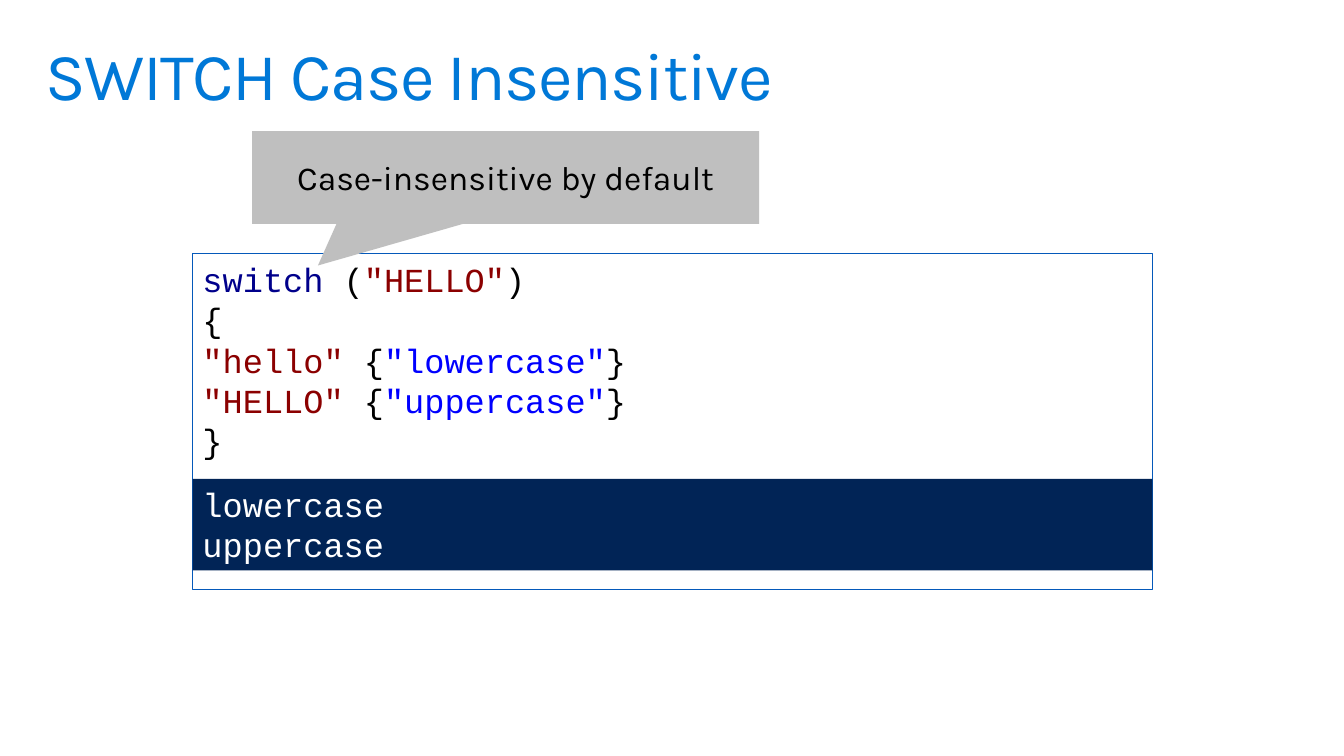
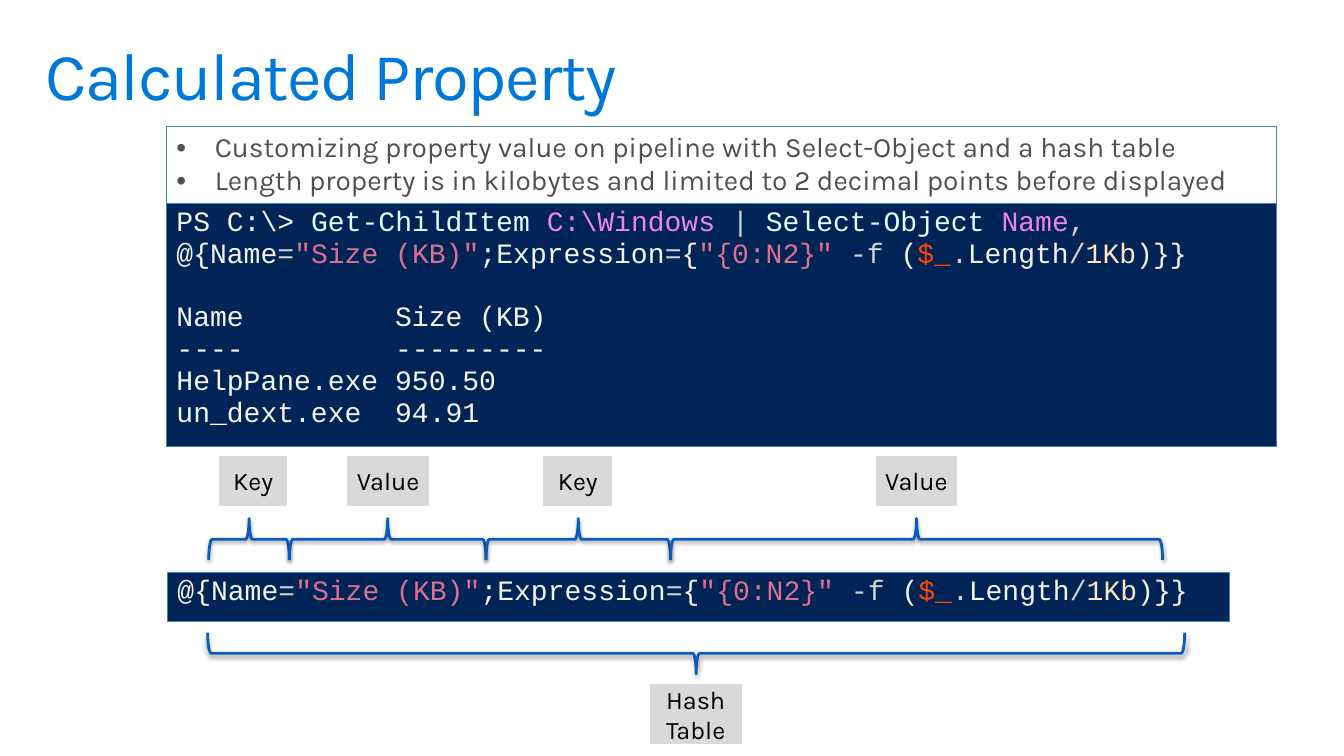
"""Build two slides on switch statements and calculated properties."""
import dataclasses

import lxml.etree
import pptx
import pptx.dml.color
import pptx.enum.shapes
import pptx.enum.text
import pptx.oxml.ns
import pptx.util

Inches = pptx.util.Inches
Pt = pptx.util.Pt
qn = pptx.oxml.ns.qn
SHAPE = pptx.enum.shapes.MSO_SHAPE
ALIGN = pptx.enum.text.PP_ALIGN
ANCHOR = pptx.enum.text.MSO_ANCHOR


@dataclasses.dataclass(frozen=True)
class Theme:
    """Fonts, type sizes and colours of the presentation."""
    body_font: str = "Karla"
    code_font: str = "Courier New"
    title_size: int = 48
    large_size: int = 24
    medium_size: int = 20
    label_size: int = 18
    title: str = "0078D7"
    black: str = "000000"
    white: str = "FFFFFF"
    body: str = "505050"
    console: str = "012456"
    frame: str = "0559BA"
    brace: str = "0A5BBA"
    border: str = "4B7EBC"
    callout: str = "BFBFBF"
    label: str = "D9D9D9"
    keyword: str = "00008B"
    literal: str = "8B0000"
    result: str = "0000FF"
    plain: str = "F5F5F5"
    operator: str = "D3D3D3"
    command: str = "E0FFFF"
    argument: str = "EE82EE"
    string: str = "DB7093"
    variable: str = "FF4500"
    number: str = "FFE4C4"


THEME = Theme()


def rgb(color):
    """Return the colour object for a hexadecimal string."""
    return pptx.dml.color.RGBColor.from_string(color)


def add_element(parent, tag, **attributes):
    """Append a drawing element to its parent."""
    return lxml.etree.SubElement(parent, qn(tag), **attributes)


def write(paragraph, text, *, font=THEME.body_font, size=THEME.label_size,
          color=THEME.black, align=None, line_spacing=None, space_before=None,
          tracking=None, bullet=False):
    """Write a string, or a list of (string, colour) pairs, into a paragraph."""
    if bullet:
        properties = paragraph._p.get_or_add_pPr()
        properties.set("marL", str(Inches(0.38)))
        properties.set("indent", str(-Inches(0.38)))
        add_element(properties, "a:buFont", typeface="Arial")
        add_element(properties, "a:buChar", char="•")
    paragraph.alignment = align
    paragraph.line_spacing = line_spacing
    paragraph.space_before = space_before
    for piece, piece_color in [(text, color)] if isinstance(text, str) else text:
        run = paragraph.add_run()
        run.text = piece
        run.font.name = font
        run.font.size = Pt(size)
        run.font.color.rgb = rgb(piece_color)
        if tracking is not None:
            run._r.get_or_add_rPr().set("spc", str(tracking))


def write_lines(frame, lines, **style):
    """Write one paragraph per line in the same style."""
    for index, line in enumerate(lines):
        write(frame.add_paragraph() if index else frame.paragraphs[0], line, **style)


class Deck:
    """Hold the theme, the presentation and the current slide."""

    def __init__(self, theme):
        """Start an empty widescreen presentation."""
        self.theme = theme
        self.presentation = pptx.Presentation()
        self.presentation.slide_width = Inches(13.33)
        self.presentation.slide_height = Inches(7.5)
        self.slide = None

    def add_slide(self, title):
        """Start a slide with its title."""
        self.slide = self.presentation.slides.add_slide(
            self.presentation.slide_layouts[6])
        frame = self.slide.shapes.add_textbox(
            Inches(0.29), Inches(0.32), Inches(12.75), Inches(0.98)).text_frame
        frame.word_wrap = True
        frame.margin_left = frame.margin_right = Inches(0.16)
        frame.margin_top = frame.margin_bottom = Inches(0.1)
        write(frame.paragraphs[0], title, size=self.theme.title_size,
              color=self.theme.title, line_spacing=0.9, tracking=-100)

    def add_shape(self, kind, left, top, width, height, fill=None, line=None,
                  line_width=2, anchor=ANCHOR.MIDDLE):
        """Add a preset shape without the default look."""
        shape = self.slide.shapes.add_shape(
            kind, Inches(left), Inches(top), Inches(width), Inches(height))
        shape.shadow.inherit = False
        if fill:
            shape.fill.solid()
            shape.fill.fore_color.rgb = rgb(fill)
        else:
            shape.fill.background()
        if line:
            shape.line.color.rgb = rgb(line)
            shape.line.width = Pt(line_width)
        else:
            shape.line.fill.background()
        shape.text_frame.word_wrap = True
        shape.text_frame.vertical_anchor = anchor
        return shape

    def add_code(self, left, top, width, height, lines, color, fill, line=None):
        """Add a box of code lines."""
        shape = self.add_shape(SHAPE.RECTANGLE, left, top, width, height, fill,
                               line, 0.75, ANCHOR.TOP)
        write_lines(shape.text_frame, lines, font=self.theme.code_font,
                    size=self.theme.large_size, color=color, align=ALIGN.LEFT)

    def add_callout(self, left, top, width, height, text, tip):
        """Add a callout whose tip is given relative to its centre."""
        shape = self.add_shape(SHAPE.RECTANGULAR_CALLOUT, left, top, width,
                               height, self.theme.callout)
        shape.adjustments[0], shape.adjustments[1] = tip
        write(shape.text_frame.paragraphs[0], text, size=self.theme.large_size,
              align=ALIGN.CENTER)

    def add_label(self, center, top, width, height, text):
        """Add a grey label centred on a horizontal position."""
        shape = self.add_shape(SHAPE.RECTANGLE, center - width / 2, top, width,
                               height, self.theme.label, self.theme.white)
        write(shape.text_frame.paragraphs[0], text, align=ALIGN.CENTER)

    def add_brace(self, start, end, middle, rotation):
        """Add a horizontal brace with a soft shadow."""
        depth, span = 0.41, end - start
        shape = self.add_shape(SHAPE.LEFT_BRACE, (start + end - depth) / 2,
                               middle - span / 2, depth, span,
                               line=self.theme.brace)
        shape.rotation = rotation
        effects = shape._element.spPr.find(qn("a:effectLst"))
        shadow = add_element(effects, "a:outerShdw", blurRad=str(Pt(3.1)),
                             dist=str(Pt(1.6)), dir="5400000", rotWithShape="0")
        color = add_element(shadow, "a:srgbClr", val=self.theme.black)
        add_element(color, "a:alpha", val="38000")

    def add_table(self, left, top, width, heights, fills):
        """Add a bordered one-column table and return its cells."""
        table = self.slide.shapes.add_table(
            len(heights), 1, Inches(left), Inches(top), Inches(width),
            Inches(sum(heights))).table
        table.first_row = table.horz_banding = False
        cells = [table.cell(row, 0) for row in range(len(heights))]
        for row, cell, height, fill in zip(table.rows, cells, heights, fills):
            row.height = Inches(height)
            properties = cell._tc.get_or_add_tcPr()
            for side in ("L", "R", "T", "B"):
                border = add_element(properties, f"a:ln{side}", w=str(Pt(0.75)))
                solid = add_element(border, "a:solidFill")
                add_element(solid, "a:srgbClr", val=self.theme.border)
            cell.fill.solid()
            cell.fill.fore_color.rgb = rgb(fill)
        return cells


def build_switch_slide(deck):
    """Build the slide on case-insensitive matching."""
    theme = deck.theme
    deck.add_slide("SWITCH Case Insensitive")
    matches = [
        [(f'"{word}"', theme.literal), (" {", theme.black),
         (f'"{case}"', theme.result), ("}", theme.black)]
        for word, case in (("hello", "lowercase"), ("HELLO", "uppercase"))]
    switch = [("switch ", theme.keyword), ("(", theme.black),
              ('"HELLO"', theme.literal), (")", theme.black)]
    deck.add_code(1.91, 2.52, 9.52, 3.33, [switch, "{", *matches, "}"],
                  theme.black, theme.white, theme.frame)
    deck.add_code(1.91, 4.75, 9.52, 0.91, ["lowercase", "uppercase"],
                  theme.white, theme.console)
    deck.add_callout(2.5, 1.3, 5.03, 0.92, "Case-insensitive by default",
                     (-0.37, 0.95))


def build_property_slide(deck):
    """Build the slide on calculated properties."""
    theme = deck.theme
    deck.add_slide("Calculated Property")
    hash_table = [
        ("@{Name", theme.plain), ("=", theme.operator),
        ('"Size (KB)"', theme.string), (";Expression", theme.plain),
        ("=", theme.operator), ("{", theme.plain), ('"{0:N2}" ', theme.string),
        ("-f", theme.operator), (" (", theme.plain), ("$_", theme.variable),
        (".", theme.operator), ("Length", theme.plain), ("/", theme.operator),
        ("1Kb", theme.number), (")}}", theme.plain)]
    pipeline = [
        ("PS C:\\> ", theme.plain), ("Get-ChildItem ", theme.command),
        ("C:\\Windows ", theme.argument), ("| ", theme.operator),
        ("Select-Object ", theme.command), ("Name", theme.argument),
        (", ", theme.operator)]
    code_style = dict(font=theme.code_font, size=theme.medium_size,
                      color=theme.plain)

    notes, console = deck.add_table(1.65, 1.25, 11.01, [0.75, 2.31],
                                    [theme.white, theme.console])
    notes.vertical_anchor = ANCHOR.MIDDLE
    write_lines(notes.text_frame, [
        "Customizing property value on pipeline with Select-Object and a hash table",
        "Length property is in kilobytes and limited to 2 decimal points before displayed",
    ], size=theme.medium_size, color=theme.body, bullet=True)
    write_lines(console.text_frame, [
        pipeline + hash_table,
        "Name         Size (KB)",
        "----         ---------",
        "HelpPane.exe 950.50",
        "un_dext.exe  94.91",
    ], **code_style)
    console.text_frame.paragraphs[1].space_before = Pt(22.6)

    [expression] = deck.add_table(1.66, 5.68, 10.53, [0.49], [theme.console])
    write(expression.text_frame.paragraphs[0], hash_table, **code_style)

    edges = [2.07, 2.87, 4.82, 6.65, 11.53]
    label_centers = [2.51, 3.85, 5.73, 9.09]
    label_widths = {"Key": 0.71, "Value": 0.84}
    for start, end, center, text in zip(edges, edges[1:], label_centers,
                                        list(label_widths) * 2):
        deck.add_brace(start, end, 5.35, 90)
        deck.add_label(center, 4.51, label_widths[text], 0.52, text)
    deck.add_brace(2.06, 11.75, 6.48, 270)
    deck.add_label(6.9, 6.77, 0.94, 0.63, "Hash Table")


def main():
    """Build and save the presentation."""
    deck = Deck(THEME)
    build_switch_slide(deck)
    build_property_slide(deck)
    deck.presentation.save("out.pptx")


if __name__ == "__main__":
    main()
